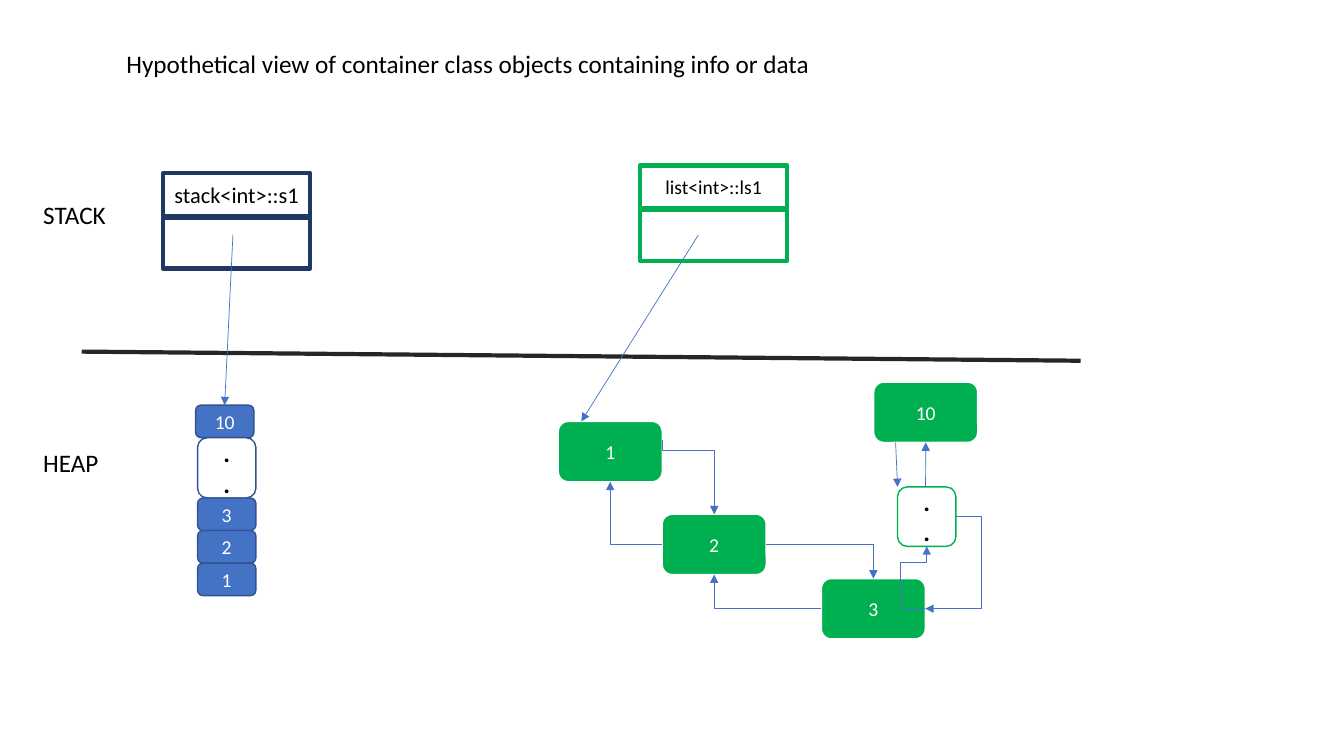
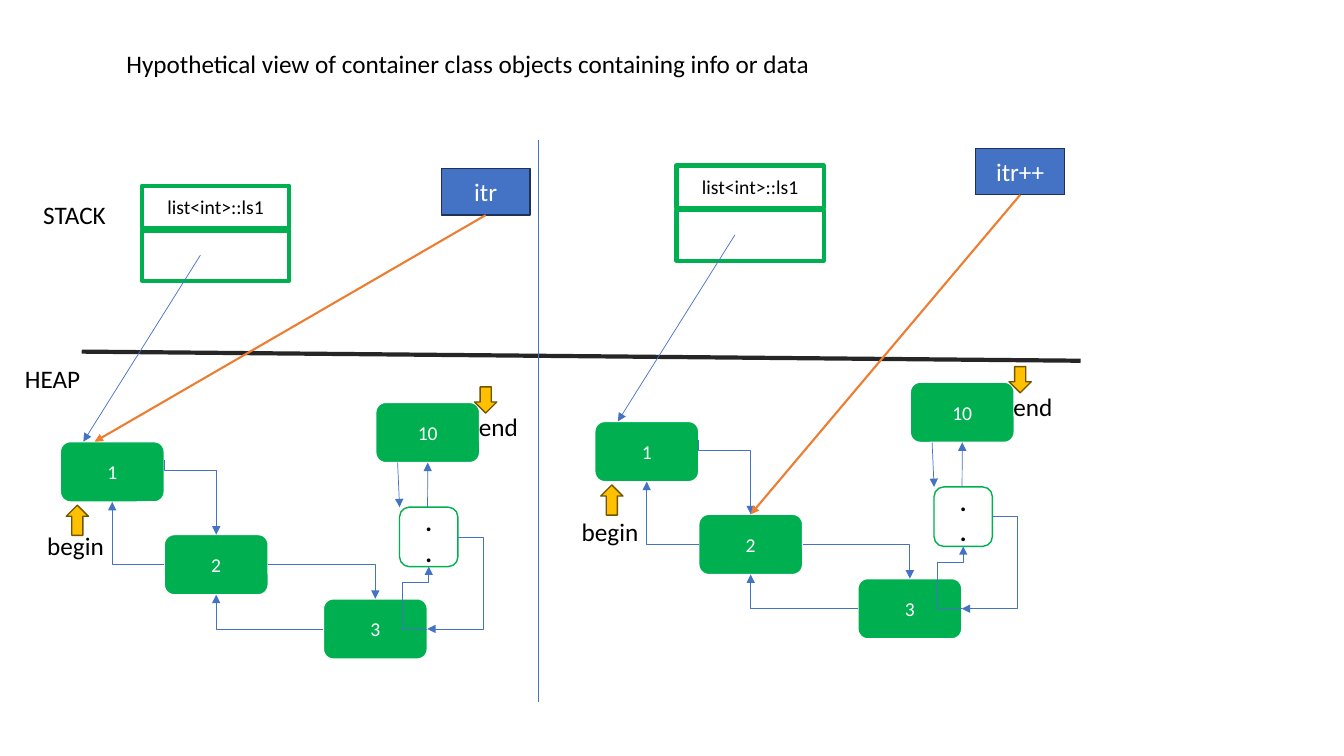
"""Build two slides showing how container objects keep their data on the heap."""
from dataclasses import dataclass

from lxml import etree
from pptx import Presentation
from pptx.dml.color import RGBColor
from pptx.enum.shapes import MSO_CONNECTOR, MSO_SHAPE
from pptx.enum.text import MSO_ANCHOR, PP_ALIGN
from pptx.oxml.ns import qn
from pptx.util import Cm, Pt

RECT, ROUND = MSO_SHAPE.RECTANGLE, MSO_SHAPE.ROUNDED_RECTANGLE
UP, DOWN = MSO_SHAPE.UP_ARROW, MSO_SHAPE.DOWN_ARROW
STRAIGHT, ELBOW = MSO_CONNECTOR.STRAIGHT, MSO_CONNECTOR.ELBOW
LEFT, CENTER = PP_ALIGN.LEFT, PP_ALIGN.CENTER
TOP, MIDDLE = MSO_ANCHOR.TOP, MSO_ANCHOR.MIDDLE


@dataclass(frozen=True)
class Theme:
    """Colours, font and type sizes."""
    font: str = "Calibri"
    large: int = 18
    medium: int = 16
    small: int = 14
    black: str = "000000"
    white: str = "FFFFFF"
    divider: str = "262626"
    blue: str = "4472C4"
    blue_edge: str = "325491"
    navy: str = "203864"
    iterator_edge: str = "1E3256"
    green: str = "00B050"
    orange: str = "ED7D31"
    gold: str = "FFC000"
    gold_edge: str = "705400"


THEME = Theme()
SLIDE_SIZE = (33.87, 19.05)
TITLE = "Hypothetical view of container class objects containing info or data"
TITLE_BOX = (0.84, 1.09, 21.9, 1.02)
STACK_LABEL = (0.84, 4.9, 3.56, 1.02)
HEAP_SIZE = (2.44, 1.07)
DIVIDER = ((2.06, 8.86), (27.23, 9.09))
SPLIT = ((13.56, 3.53), (13.56, 17.68))

DOTS = ".\n."
HEADER_SIZE, BODY_SIZE, BODY_DROP = (3.71, 1.07), (3.71, 1.27), 1.13
STACK_OBJECT = (4.11, 4.37)
STACK_POINTER = ((5.87, 5.92), (5.66, 10.21))
STACK_TOP, CELL_WIDTH = 10.21, 1.47
STACK_CELLS = [("10", 4.93, 0.82), (DOTS, 4.98, 1.52), ("3", 4.98, 0.82),
               ("2", 4.98, 0.82), ("1", 4.98, 0.82)]

LIST_OBJECT = (2.06, -6.45)
LIST_POINTER = ((3.53, -4.7), (0.58, 0))
LIST_NODES = {
    "1": (0, 0, 2.62, 1.52),
    "2": (2.62, 2.34, 2.62, 1.52),
    "3": (6.63, 3.96, 2.62, 1.52),
    "10": (7.95, -0.99, 2.62, 1.52),
    DOTS: (8.55, 1.65, 1.47, 1.5),
}
LIST_LINKS = [
    ("1", (1, 0.31), "2", (0.5, 0), {"bends": 3, "adjust": [0.135], "upright": True}),
    ("2", (0, 0.5), "1", (0.5, 1), {"bends": 2}),
    ("2", (1, 0.5), "3", (0.5, 0), {"bends": 2}),
    ("3", (0, 0.5), "2", (0.5, 1), {"bends": 2}),
    ("10", (0.21, 1), DOTS, (0, 0), {}),
    (DOTS, (0.48, 0), "10", (0.5, 1), {}),
    ("3", (1, 0.5), DOTS, (0.5, 1), {"bends": 4, "adjust": [-18, 0.742]}),
    (DOTS, (1, 0.5), "3", (1, 0.5), {"bends": 3, "adjust": [-0.82]}),
]
ITERATOR = (9.6, -6.88, 2.24, 1.17)
MARKERS = [(UP, (0.15, 1.6, 0.56, 0.76)), (DOWN, (10.44, -1.38, 0.56, 0.66))]
END_LABEL = (10.3, -0.88, 2.13, 1.02)
BEGIN_LEFT, BEGIN_SIZE = -0.58, (2.13, 1.02)

PAGES = [
    {"heap": (0.84, 11.15), "stack": True, "lists": [{"origin": (14.07, 10.62)}]},
    {"heap": (0.38, 9.04), "stack": False, "lists": [
        {"origin": (14.99, 10.62), "iterator": "itr++", "target": ("2", (0.5, 0)),
         "begin_top": 2.26},
        {"origin": (1.52, 11.13), "iterator": "itr", "target": ("1", (0.33, 0)),
         "begin_top": 2.1},
    ]},
]


def colour(value):
    """Turn a hexadecimal string into a colour."""
    return RGBColor.from_string(value)


def shift(origin, place):
    """Move a point or box by an origin."""
    return (origin[0] + place[0], origin[1] + place[1], *place[2:])


def anchor(box, share):
    """Find a point at the given shares of a box's width and height."""
    return box[0] + box[2] * share[0], box[1] + box[3] * share[1]


def write(shape, text, size=THEME.large, ink=THEME.black, bold=False,
          align=LEFT, vertical=TOP):
    """Fill a shape with formatted text, one paragraph a line."""
    frame = shape.text_frame
    frame.text = text
    frame.word_wrap = True
    frame.vertical_anchor = vertical
    for para in frame.paragraphs:
        para.alignment = align
        for span in para.runs:
            span.font.name, span.font.size = THEME.font, Pt(size)
            span.font.bold, span.font.color.rgb = bold, colour(ink)


def add_label(page, box, text):
    """Add a plain text box."""
    write(page.shapes.add_textbox(*map(Cm, box)), text)


def add_box(page, kind, box, fill, edge, width=1, text="", **style):
    """Add a filled shape with centred text."""
    shape = page.shapes.add_shape(kind, *map(Cm, box))
    shape.shadow.inherit = False
    shape.fill.solid()
    shape.fill.fore_color.rgb = colour(fill)
    shape.line.color.rgb = colour(edge)
    shape.line.width = Pt(width)
    if text:
        shape.text_frame.margin_left = shape.text_frame.margin_right = Cm(0.1)
        write(shape, text, align=CENTER, vertical=MIDDLE, **style)


def add_cell(page, box, text, fill, edge, dots_edge):
    """Add a rounded data cell, white where it holds the dots."""
    if text == DOTS:
        add_box(page, ROUND, box, THEME.white, dots_edge, text=text, bold=True)
    else:
        add_box(page, ROUND, box, fill, edge, text=text, size=THEME.small, ink=THEME.white)


def add_line(page, start, end, ink=THEME.blue, width=0.5, arrow=True,
             bends=0, adjust=(), upright=False):
    """Add a straight or bent connector; an upright one leaves downwards."""
    (x1, y1), (x2, y2) = start, end
    if upright:
        middle_x, middle_y = (x1 + x2) / 2, (y1 + y2) / 2
        half_x, half_y = (y2 - y1) / 2, (x2 - x1) / 2
        x1, x2 = middle_x - half_x, middle_x + half_x
        y1, y2 = middle_y - half_y, middle_y + half_y
    line = page.shapes.add_connector(ELBOW if bends else STRAIGHT,
                                     *map(Cm, (x1, y1, x2, y2)))
    line.line.color.rgb = colour(ink)
    line.line.width = Pt(width)
    properties = line.element.spPr
    if upright:
        frame = properties.find(qn("a:xfrm"))
        frame.set("rot", "16200000")
        frame.set("flipH", "1")
    if bends:
        geometry = properties.find(qn("a:prstGeom"))
        geometry.set("prst", f"bentConnector{bends}")
        guides = geometry.find(qn("a:avLst"))
        for number, share in enumerate(adjust, 1):
            etree.SubElement(guides, qn("a:gd"), name=f"adj{number}",
                             fmla=f"val {round(share * 100000)}")
    if arrow:
        etree.SubElement(properties.find(qn("a:ln")), qn("a:tailEnd"), type="triangle")
    etree.SubElement(properties, qn("a:effectLst"))


def add_object(page, place, name, edge, size):
    """Add a container object: a name above an empty body."""
    add_box(page, RECT, (*place, *HEADER_SIZE), THEME.white, edge, 3, name, size=size)
    add_box(page, RECT, (*shift(place, (0, BODY_DROP)), *BODY_SIZE), THEME.white, edge, 3)


def add_stack(page):
    """Add the stack object and its cells."""
    add_object(page, STACK_OBJECT, "stack<int>::s1", THEME.navy, THEME.medium)
    top = STACK_TOP
    for text, left, height in STACK_CELLS:
        add_cell(page, (left, top, CELL_WIDTH, height), text, THEME.blue,
                 THEME.blue_edge, THEME.blue_edge)
        top += height
    add_line(page, *STACK_POINTER)


def add_list(page, origin):
    """Add the list object, its nodes and their links."""
    add_object(page, shift(origin, LIST_OBJECT), "list<int>::ls1", THEME.green, THEME.small)
    nodes = {name: shift(origin, box) for name, box in LIST_NODES.items()}
    for name, box in nodes.items():
        add_cell(page, box, name, THEME.green, THEME.white, THEME.green)
    add_line(page, *(shift(origin, point) for point in LIST_POINTER))
    for source, leave, target, enter, route in LIST_LINKS:
        add_line(page, anchor(nodes[source], leave), anchor(nodes[target], enter), **route)
    return nodes


def add_iterator(page, nodes, origin, iterator, target, begin_top):
    """Add an iterator with its arrow and the begin and end markers."""
    box = shift(origin, ITERATOR)
    add_box(page, RECT, box, THEME.blue, THEME.iterator_edge, text=iterator, ink=THEME.white)
    name, share = target
    add_line(page, anchor(box, (0.5, 1)), anchor(nodes[name], share), THEME.orange, 1.5)
    for kind, place in MARKERS:
        add_box(page, kind, shift(origin, place), THEME.gold, THEME.gold_edge)
    add_label(page, shift(origin, (BEGIN_LEFT, begin_top, *BEGIN_SIZE)), "begin")
    add_label(page, shift(origin, END_LABEL), "end")


def add_page(deck, heap, stack, lists):
    """Add one slide with the shared title, labels and divider."""
    page = deck.slides.add_slide(deck.slide_layouts[5])
    title = page.shapes.title
    title.left, title.top, title.width, title.height = map(Cm, TITLE_BOX)
    write(title, TITLE, align=CENTER)
    add_label(page, STACK_LABEL, "STACK")
    add_label(page, (*heap, *HEAP_SIZE), "HEAP")
    add_line(page, *DIVIDER, THEME.divider, 3, arrow=False)
    if stack:
        add_stack(page)
    for details in lists:
        nodes = add_list(page, details["origin"])
        if "iterator" in details:
            add_iterator(page, nodes, **details)
    if len(lists) > 1:
        add_line(page, *SPLIT, arrow=False)


def main():
    """Build and save the deck."""
    deck = Presentation()
    deck.slide_width, deck.slide_height = map(Cm, SLIDE_SIZE)
    for content in PAGES:
        add_page(deck, **content)
    deck.save("out.pptx")


if __name__ == "__main__":
    main()
